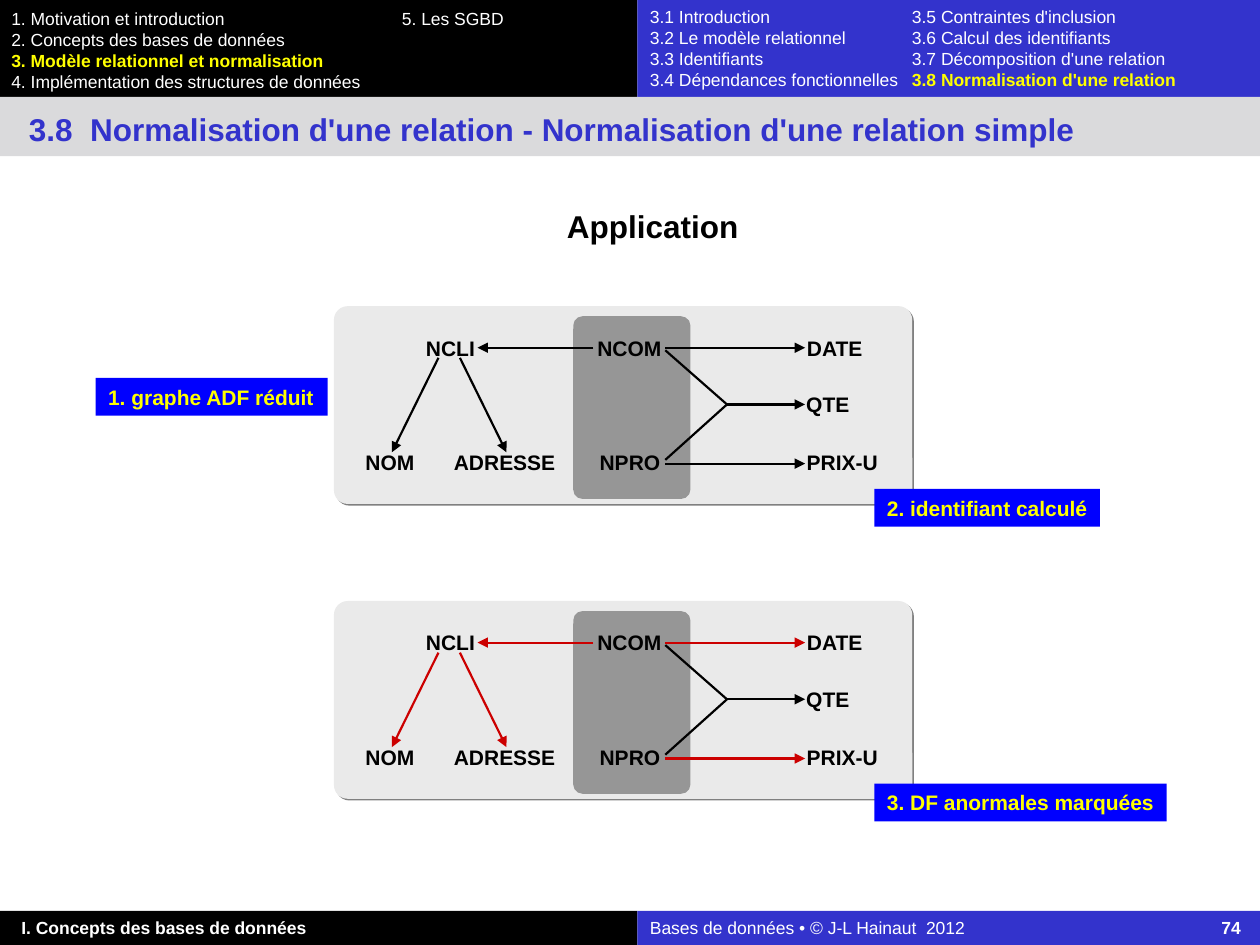
from dataclasses import dataclass

from lxml.etree import SubElement
from pptx import Presentation
from pptx.dml.color import RGBColor
from pptx.enum.shapes import MSO_CONNECTOR as Connector, MSO_SHAPE as Shape
from pptx.enum.text import MSO_ANCHOR as Anchor, MSO_AUTO_SIZE as AutoSize, PP_ALIGN as Align
from pptx.oxml.ns import qn
from pptx.util import Inches, Pt


@dataclass(frozen=True)
class Theme:
    font: str = "Arial"
    menu_size: int = 10
    label_size: int = 12
    title_size: int = 18
    black: str = "000000"
    white: str = "FFFFFF"
    yellow: str = "FFFF00"
    indigo: str = "3333CC"
    tag: str = "0000FF"
    band: str = "DADADC"
    panel: str = "EAEAEA"
    key: str = "969696"
    shadow: str = "808080"
    abnormal: str = "CC0000"


theme = Theme()


def add_box(shapes, place, fill, kind=Shape.RECTANGLE):
    """Add a filled shape without outline or shadow; place is left, top, width, height."""
    box = shapes.add_shape(kind, *map(Inches, place))
    box.shadow.inherit = False
    box.fill.solid()
    box.fill.fore_color.rgb = RGBColor.from_string(fill)
    box.line.fill.background()
    return box


def write(box, paragraphs, size, align=Align.LEFT, anchor=Anchor.TOP, wrap=True,
          insets=(0.1, 0.05, 0.1, 0.05), tab=None):
    """Fill a box; each paragraph is a list of (text, colour, bold); tab is (inches, kind)."""
    frame = box.text_frame
    frame.auto_size = AutoSize.NONE
    frame.word_wrap = wrap
    frame.vertical_anchor = anchor
    frame.margin_left, frame.margin_top, frame.margin_right, frame.margin_bottom = map(Inches, insets)
    for index, spans in enumerate(paragraphs):
        para = frame.add_paragraph() if index else frame.paragraphs[0]
        para.alignment = align
        if tab:
            stops = SubElement(para._p.get_or_add_pPr(), qn("a:tabLst"))
            SubElement(stops, qn("a:tab"), pos=str(Inches(tab[0])), algn=tab[1])
        for text, colour, bold in spans:
            span = para.add_run()
            span.text = text
            span.font.name = theme.font
            span.font.size = Pt(size)
            span.font.bold = bold
            span.font.color.rgb = RGBColor.from_string(colour)


deck = Presentation()
deck.slide_width, deck.slide_height = Inches(10), Inches(7.5)
page = deck.slides.add_slide(deck.slide_layouts[5])

# Header menus and footer
SPLIT = 5.06
HEADER_HEIGHT = 0.77
FOOTER_TOP, FOOTER_HEIGHT = 7.23, 0.27

chapters = add_box(page.shapes, (0, 0, SPLIT, HEADER_HEIGHT), theme.black)
write(chapters, [
    [("1. Motivation et introduction\t5. Les SGBD", theme.white, False)],
    [("2. Concepts des bases de données", theme.white, False)],
    [("3. Modèle relationnel et normalisation", theme.yellow, True)],
    [("4. Implémentation des structures de données", theme.white, False)],
], theme.menu_size, insets=(0.09, 0.06, 0.1, 0.05), tab=(3.1, "l"))

sections = add_box(page.shapes, (SPLIT, 0, 10 - SPLIT, HEADER_HEIGHT), theme.indigo)
write(sections, [
    [("3.1 Introduction\t3.5 Contraintes d'inclusion", theme.white, False)],
    [("3.2 Le modèle relationnel\t3.6 Calcul des identifiants", theme.white, False)],
    [("3.3 Identifiants\t3.7 Décomposition d'une relation", theme.white, False)],
    [("3.4 Dépendances fonctionnelles\t", theme.white, False),
     ("3.8 Normalisation d'une relation", theme.yellow, True)],
], theme.menu_size, tab=(2.08, "l"))

part = add_box(page.shapes, (0, FOOTER_TOP, SPLIT, FOOTER_HEIGHT), theme.black)
write(part, [[("I. Concepts des bases de données", theme.white, True)]],
      theme.menu_size, insets=(0.17, 0.05, 0.1, 0.05))

credit = add_box(page.shapes, (SPLIT, FOOTER_TOP, 10 - SPLIT, FOOTER_HEIGHT), theme.indigo)
write(credit, [[("Bases de données • © J-L Hainaut  2012\t", theme.white, False),
                ("74", theme.white, True)]], theme.menu_size, tab=(4.69, "r"))

# Title band and heading
band = add_box(page.shapes, (0, HEADER_HEIGHT, 10, 0.47), theme.band)
title = page.shapes.title
title.left, title.top, title.width, title.height = map(Inches, (0.13, 0.82, 9.33, 0.4))
band.element.addnext(title.element)
write(title, [[("3.8  Normalisation d'une relation - Normalisation d'une relation simple",
                theme.indigo, True)]], theme.title_size)

heading = page.shapes.add_textbox(*map(Inches, (0.87, 1.54, 8.58, 0.5)))
write(heading, [[("Application", theme.black, True)]], theme.title_size,
      align=Align.CENTER, insets=(0.06, 0.1, 0.02, 0.1))

# Dependency graphs: vertical positions are measured from the top of the panel
TOP_ROW, MIDDLE_ROW, BOTTOM_ROW = 0.33, 0.78, 1.25
NODE_HEIGHT = 0.2
nodes = [  # name, left, top, width
    ("NCLI", 3.38, 0.23, 0.39),
    ("NOM", 2.9, 1.14, 0.39),
    ("ADRESSE", 3.6, 1.14, 0.81),
    ("NCOM", 4.74, 0.23, 0.51),
    ("NPRO", 4.76, 1.14, 0.48),
    ("DATE", 6.4, 0.23, 0.45),
    ("QTE", 6.4, 0.68, 0.34),
    ("PRIX-U", 6.4, 1.14, 0.57),
]
KEY_EDGE, FORK, TARGET = 5.28, 5.77, 6.39
joint_lines = [  # start x, start y, end x, end y, arrowhead
    (KEY_EDGE, 0.35, FORK, MIDDLE_ROW, False),
    (FORK, MIDDLE_ROW, KEY_EDGE, 1.22, False),
    (FORK, MIDDLE_ROW, TARGET, MIDDLE_ROW, True),
]
single_lines = [
    (KEY_EDGE, TOP_ROW, TARGET, TOP_ROW, True),
    (KEY_EDGE, BOTTOM_ROW, TARGET, BOTTOM_ROW, True),
    (4.71, TOP_ROW, 3.79, TOP_ROW, True),
    (3.48, 0.41, 3.11, 1.16, True),
    (3.65, 0.41, 4.02, 1.16, True),
]

for panel_top, single_colour in ((2.43, theme.black), (4.77, theme.abnormal)):
    graph = page.shapes.add_group_shape().shapes

    panel = add_box(graph, (2.65, panel_top, 4.59, 1.57), theme.panel, Shape.ROUNDED_RECTANGLE)
    panel.adjustments[0] = 0.07
    effects = panel.element.spPr.find(qn("a:effectLst"))
    shadow = SubElement(effects, qn("a:outerShdw"), dist=str(Pt(1.4)), dir="2700000",
                        algn="ctr", rotWithShape="0")
    SubElement(shadow, qn("a:srgbClr"), val=theme.shadow)

    key = add_box(graph, (4.55, panel_top + 0.08, 0.93, 1.45), theme.key, Shape.ROUNDED_RECTANGLE)
    key.adjustments[0] = 0.08

    for name, left, top, width in nodes:
        node = graph.add_textbox(*map(Inches, (left, panel_top + top, width, NODE_HEIGHT)))
        write(node, [[(name, theme.black, True)]], theme.label_size, align=Align.CENTER,
              anchor=Anchor.MIDDLE, wrap=False, insets=(0, 0, 0, 0))

    for lines, colour in ((joint_lines, theme.black), (single_lines, single_colour)):
        for start_x, start_y, end_x, end_y, arrowhead in lines:
            link = graph.add_connector(
                Connector.STRAIGHT, Inches(start_x), Inches(panel_top + start_y),
                Inches(end_x), Inches(panel_top + end_y))
            link.line.width = Pt(1.25)
            link.line.color.rgb = RGBColor.from_string(colour)
            if arrowhead:
                SubElement(link.line._get_or_add_ln(), qn("a:tailEnd"), type="triangle")
            SubElement(link.element.spPr, qn("a:effectLst"))

# Step tags
for text, left, top, width in (
    ("1. graphe ADF réduit", 0.76, 3, 1.84),
    ("2. identifiant calculé", 6.94, 3.88, 1.79),
    ("3. DF anormales marquées", 6.94, 6.22, 2.32),
):
    tag = add_box(page.shapes, (left, top, width, 0.3), theme.tag)
    write(tag, [[(text, theme.yellow, True)]], theme.label_size, wrap=False)

deck.save("out.pptx")
